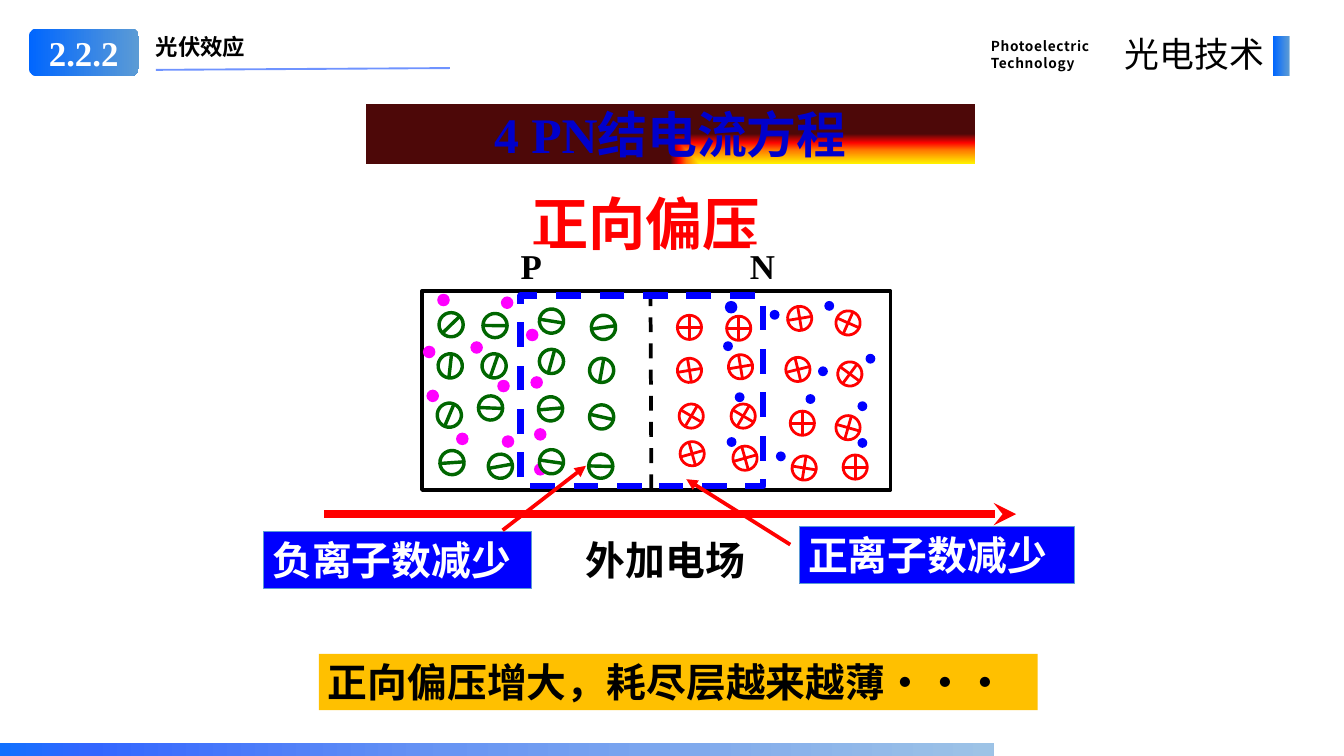
from dataclasses import dataclass
from math import cos, radians, sin

from lxml.etree import SubElement
from pptx import Presentation
from pptx.dml.color import RGBColor
from pptx.enum.dml import MSO_LINE
from pptx.enum.shapes import MSO_CONNECTOR, MSO_SHAPE
from pptx.enum.text import MSO_ANCHOR, PP_ALIGN
from pptx.oxml import parse_xml
from pptx.oxml.ns import nsdecls, qn
from pptx.util import Pt

PX = 9144  # EMU in one px, 100 px to the inch


@dataclass(frozen=True)
class Theme:
    white: str = "FFFFFF"
    black: str = "000000"
    red: str = "FF0000"
    blue: str = "0000FF"
    green: str = "006600"
    magenta: str = "FF00FF"
    amber: str = "FFC000"
    title: str = "0000CC"
    rule: str = "3366FF"
    edge: str = "5B9BD5"
    badge: tuple = ((0, "0066FF"), (100, "5B9BD5"))
    footer: tuple = ((0, "1271FE"), (9, "3366FF"), (45, "6895F3"), (100, "9DC3E6"))
    flame: tuple = ((0, "FFF200"), (45, "FF7A00"), (70, "FF0300"), (100, "4D0808"))
    sans: str = "Noto Sans CJK SC"
    sans_jp: str = "Noto Sans CJK JP"
    serif: str = "Times New Roman"
    tiny: int = 11
    small: int = 18
    label: int = 28
    body: int = 32
    heading: int = 40
    hero: int = 46


T = Theme()


def emu(*px):
    return [round(v * PX) for v in px]


class SlideBuilder:
    def __init__(self, theme, s):
        self.t, self.s = theme, s

    def shape(self, box, fill=None, line=None, width=1, kind=MSO_SHAPE.RECTANGLE,
              rot=0, dash=False):
        sp = self.s.shapes.add_shape(kind, *emu(*box))
        sp.shadow.inherit = False
        sp.rotation = rot
        if fill:
            sp.fill.solid()
            sp.fill.fore_color.rgb = RGBColor.from_string(fill)
        else:
            sp.fill.background()
        self.stroke(sp.line, line, width, dash)
        return sp

    def stroke(self, line, color, width, dash=False):
        if not color:
            line.fill.background()
            return
        line.color.rgb = RGBColor.from_string(color)
        line.width = Pt(width)
        if dash:
            line.dash_style = MSO_LINE.DASH

    def gradient(self, box, stops, kind=MSO_SHAPE.RECTANGLE, corner=False):
        sp = self.shape(box, kind=kind)
        gs = "".join(f'<a:gs pos="{p * 1000}"><a:srgbClr val="{c}"/></a:gs>' for p, c in stops)
        way = ('<a:path path="rect"><a:fillToRect l="100000" t="100000"/></a:path>'
               if corner else '<a:lin ang="0" scaled="0"/>')
        spPr = sp.element.spPr
        spPr.replace(spPr.find(qn("a:noFill")), parse_xml(
            f'<a:gradFill {nsdecls("a")} rotWithShape="1"><a:gsLst>{gs}</a:gsLst>{way}</a:gradFill>'))
        return sp

    def line(self, start, end, color, width, dash=False, arrow=None, alpha=None):
        c = self.s.shapes.add_connector(MSO_CONNECTOR.STRAIGHT, *emu(*start, *end))
        self.stroke(c.line, color, width, dash)
        spPr = c.element.spPr
        ln = spPr.find(qn("a:ln"))
        if arrow:
            SubElement(ln, qn("a:tailEnd"), type=arrow)
        if alpha:
            SubElement(ln.find(".//" + qn("a:srgbClr")), qn("a:alpha"), val=str(alpha * 1000))
        SubElement(spPr, qn("a:effectLst"))

    def label(self, sp, lines, size, color, font=None, bold=True, align=PP_ALIGN.LEFT,
              anchor=MSO_ANCHOR.TOP, inset=True, spacing=None, track=0):
        tf = sp.text_frame
        tf.word_wrap = True
        tf.vertical_anchor = anchor
        if not inset:
            tf.margin_left = tf.margin_right = tf.margin_top = tf.margin_bottom = 0
        font = font or self.t.sans
        for i, text in enumerate(lines):
            p = tf.add_paragraph() if i else tf.paragraphs[0]
            p.alignment = align
            if spacing:
                p.line_spacing = spacing
            r = p.add_run()
            r.text = text
            r.font.size, r.font.bold, r.font.name = Pt(size), bold, font
            r.font.color.rgb = RGBColor.from_string(color)
            rPr = r._r.get_or_add_rPr()
            if track:
                rPr.set("spc", str(track))
            east = self.t.sans if font == self.t.serif else font
            SubElement(rPr, qn("a:ea"), typeface=east)

    def text(self, box, lines, size, color, **style):
        self.label(self.s.shapes.add_textbox(*emu(*box)), lines, size, color, **style)

    def panel(self, box, text, size, color, fill, line=None, **style):
        self.label(self.shape(box, fill, line, 0.75), [text], size, color, **style)

    def carrier(self, x, y, size, color):
        self.shape((x, y, size, size), color, kind=MSO_SHAPE.OVAL)

    def ion(self, x, y, angle, positive):
        color, width = (self.t.red, 2.25) if positive else (self.t.green, 2.75)
        self.shape((x, y, 27, 27), self.t.white, color, width, MSO_SHAPE.OVAL, angle)
        cx, cy = x + 13.5, y + 13.5
        strokes = [(angle, 13.5)] + ([(angle + 90, 14.5)] if positive else [])
        for turn, half in strokes:
            dx, dy = half * cos(radians(turn)), half * sin(radians(turn))
            self.line((cx - dx, cy - dy), (cx + dx, cy + dy), color, width)


# Holes and electrons: left, top
HOLES = [(488, 328), (472, 386), (476, 435), (509, 483), (559, 331), (525, 381), (555, 424),
         (560, 486), (592, 420), (587, 367), (596, 517), (596, 478)]
ELECTRONS = [(920, 336), (913, 409), (966, 395), (859, 346), (899, 440), (957, 448),
             (866, 504), (957, 489), (807, 381), (820, 438), (811, 488)]
# Fixed ions: left, top, angle
NEGATIVE_IONS = [(490, 349, 315.7), (489, 395, 276.4), (488, 450, 292.8), (491, 503, 356),
                 (539, 350, 0.7), (538, 395, 289.3), (534, 442, 2.3), (545, 507, 349.7),
                 (602, 345, 9.1), (602, 390, 285.4), (601, 443, 355.1), (602, 502, 8.3),
                 (660, 352, 352.2), (658, 400, 280.4), (658, 452, 12.9), (657, 507, 1.5)]
POSITIVE_IONS = [(756, 352, 0), (756, 400, 80.5), (758, 451, 300.4), (759, 493, 164.2),
                 (811, 353, 0), (813, 396, 80.5), (816, 451, 300.4), (818, 498, 164.2),
                 (879, 342, 260.5), (877, 399, 76.1), (882, 459, 0), (884, 509, 279.2),
                 (933, 347, 293.9), (935, 404, 36.5), (933, 464, 15.9), (941, 508, 0)]


def main():
    prs = Presentation()
    prs.slide_width, prs.slide_height = emu(1500, 844)
    b = SlideBuilder(T, prs.slides.add_slide(prs.slide_layouts[6]))

    # Bias heading and applied field
    b.text((583, 214, 299, 78), ["正向偏压"], T.hero, T.red, font=T.sans_jp, spacing=0.9)
    b.line((362, 574), (1134, 574), T.red, 6, arrow="stealth")
    b.text((625, 593, 236, 63), ["外加电场"], T.body, T.black, align=PP_ALIGN.CENTER)

    # PN junction with its carriers and ions
    b.shape((471, 325, 523, 222), T.white, T.black, 3)
    b.line((726, 325), (727, 547), T.black, 3, dash=True)
    for x, y in HOLES:
        b.carrier(x, y, 14, T.magenta)
    for x, y in ELECTRONS:
        b.carrier(x, y, 11, T.blue)
    b.carrier(809, 336, 14, T.blue)
    for ions, positive in ((NEGATIVE_IONS, False), (POSITIVE_IONS, True)):
        for x, y, angle in ions:
            b.ion(x, y, angle, positive)
    for x, name in ((581, "P"), (837, "N")):
        b.panel((x, 273, 33, 47), name, T.label, T.black, T.white, font=T.serif,
                align=PP_ALIGN.JUSTIFY, inset=False)
    b.shape((581, 330, 271, 213), line=T.blue, width=5, dash=True)

    # Conclusion and callouts
    b.panel((356, 730, 802, 63), "正向偏压增大，耗尽层越来越薄···", T.body, T.black, T.amber,
            anchor=MSO_ANCHOR.MIDDLE)
    for box, text in (((294, 593, 299, 64), "负离子数减少"), ((892, 588, 307, 64), "正离子数减少")):
        b.panel(box, text, T.body, T.white, T.blue, T.edge)
    for start, end in (((561, 592), (654, 520)), ((882, 608), (766, 535))):
        b.line(start, end, T.red, 3, arrow="triangle")

    # Title banner
    banner = b.gradient((408, 116, 680, 67), T.flame, corner=True)
    b.label(banner, ["4 PN结电流方程"], T.heading, T.title, font=T.serif,
            align=PP_ALIGN.CENTER, anchor=MSO_ANCHOR.MIDDLE, inset=False)

    # Header
    b.text((164, 32, 350, 40), ["光伏效应"], T.small, T.black)
    b.text((1096, 36, 158, 49), ["Photoelectric", "Technology"], T.tiny, T.black,
           spacing=Pt(14), track=50)
    b.gradient((1421, 40, 18, 45), T.badge)
    badge = b.gradient((32, 32, 123, 53), T.badge, MSO_SHAPE.ROUNDED_RECTANGLE)
    b.label(badge, ["2.2.2"], T.label, T.white, font=T.serif, align=PP_ALIGN.CENTER,
            anchor=MSO_ANCHOR.MIDDLE)
    b.line((174, 78), (502, 76), T.rule, 1.5, alpha=70)
    b.text((1231, 32, 190, 57), ["光电技术"], T.label, T.black, bold=False,
           align=PP_ALIGN.RIGHT, track=20)

    # Footer bar
    b.gradient((0, 830, 1109, 14), T.footer)
    prs.save("out.pptx")


if __name__ == "__main__":
    main()
